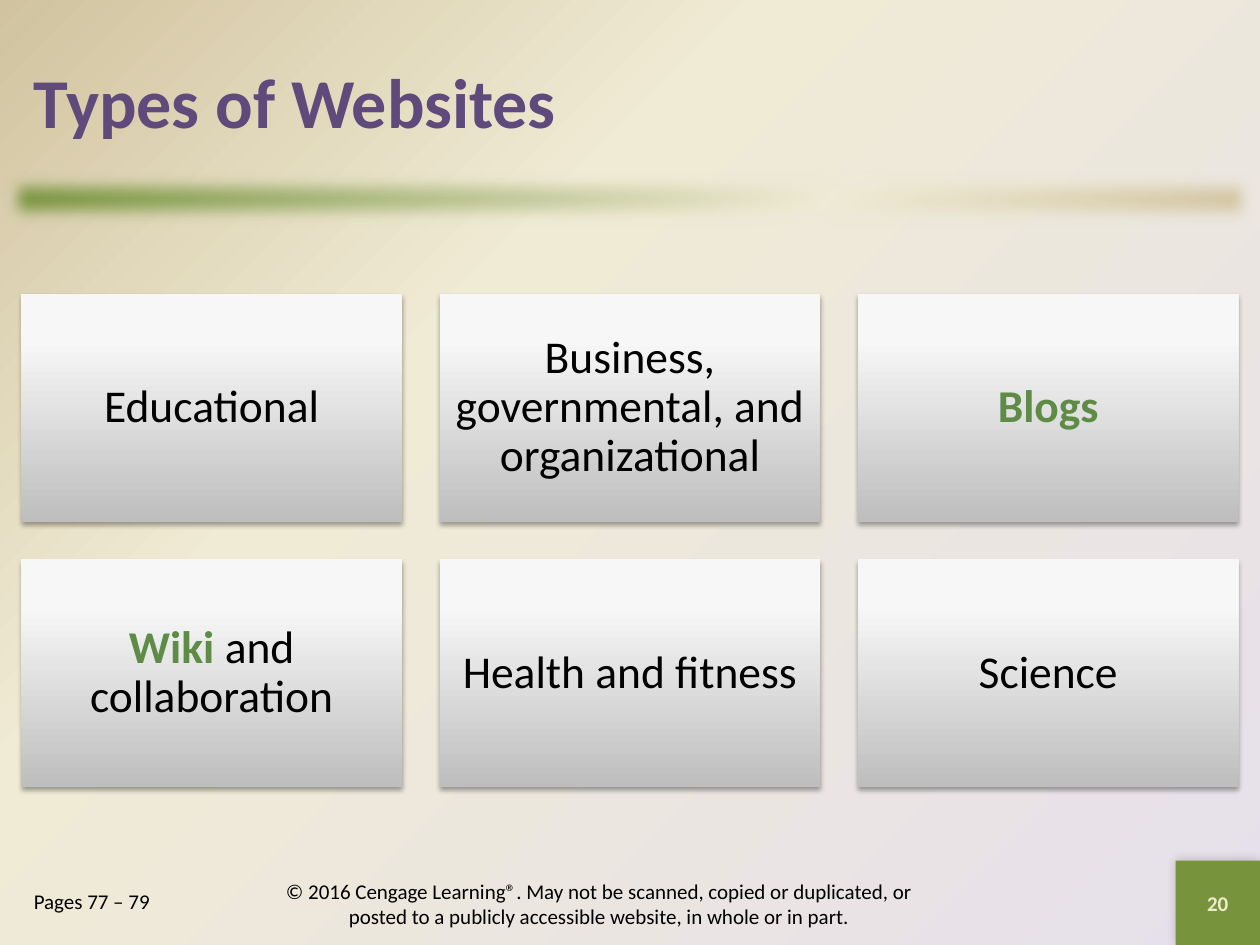
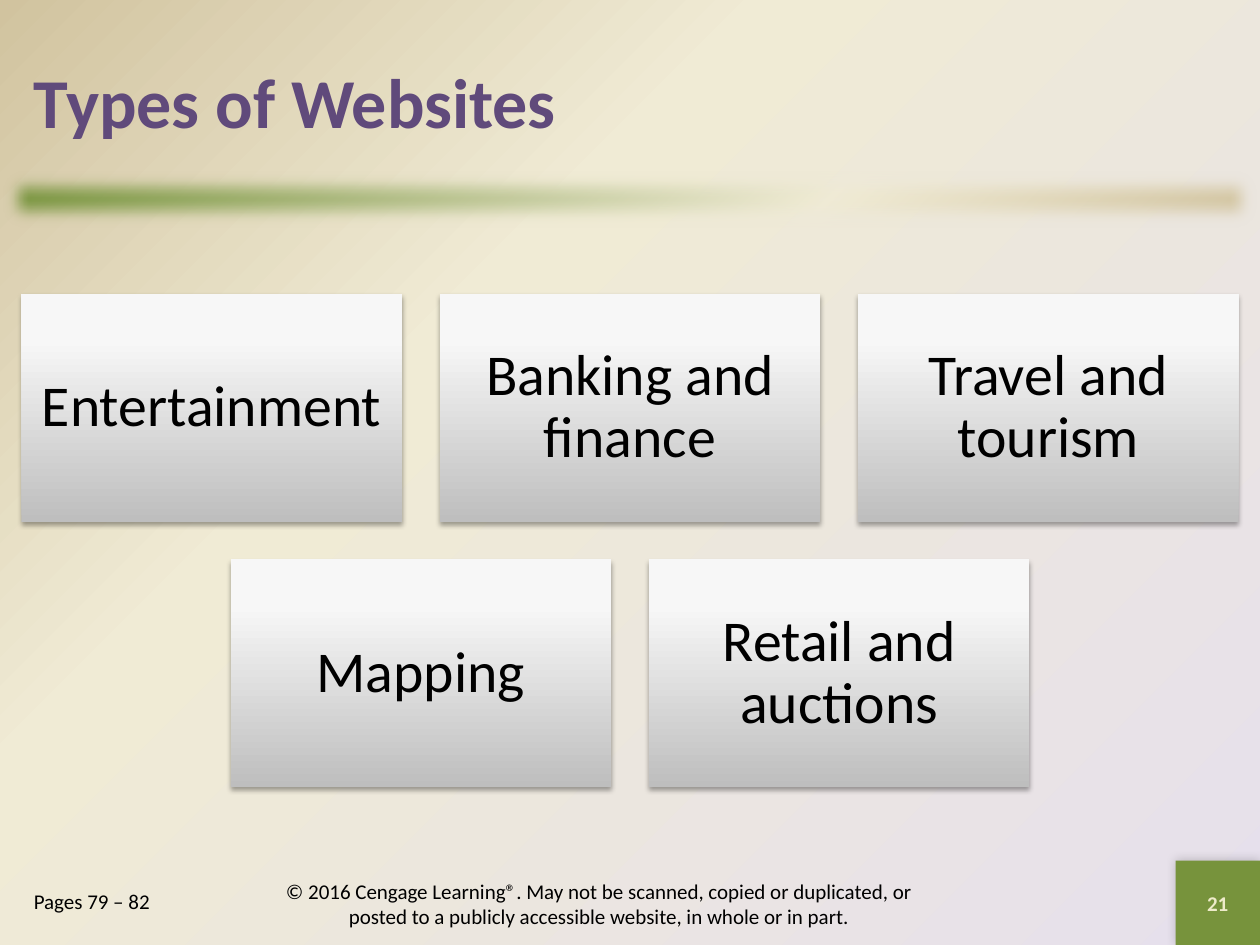
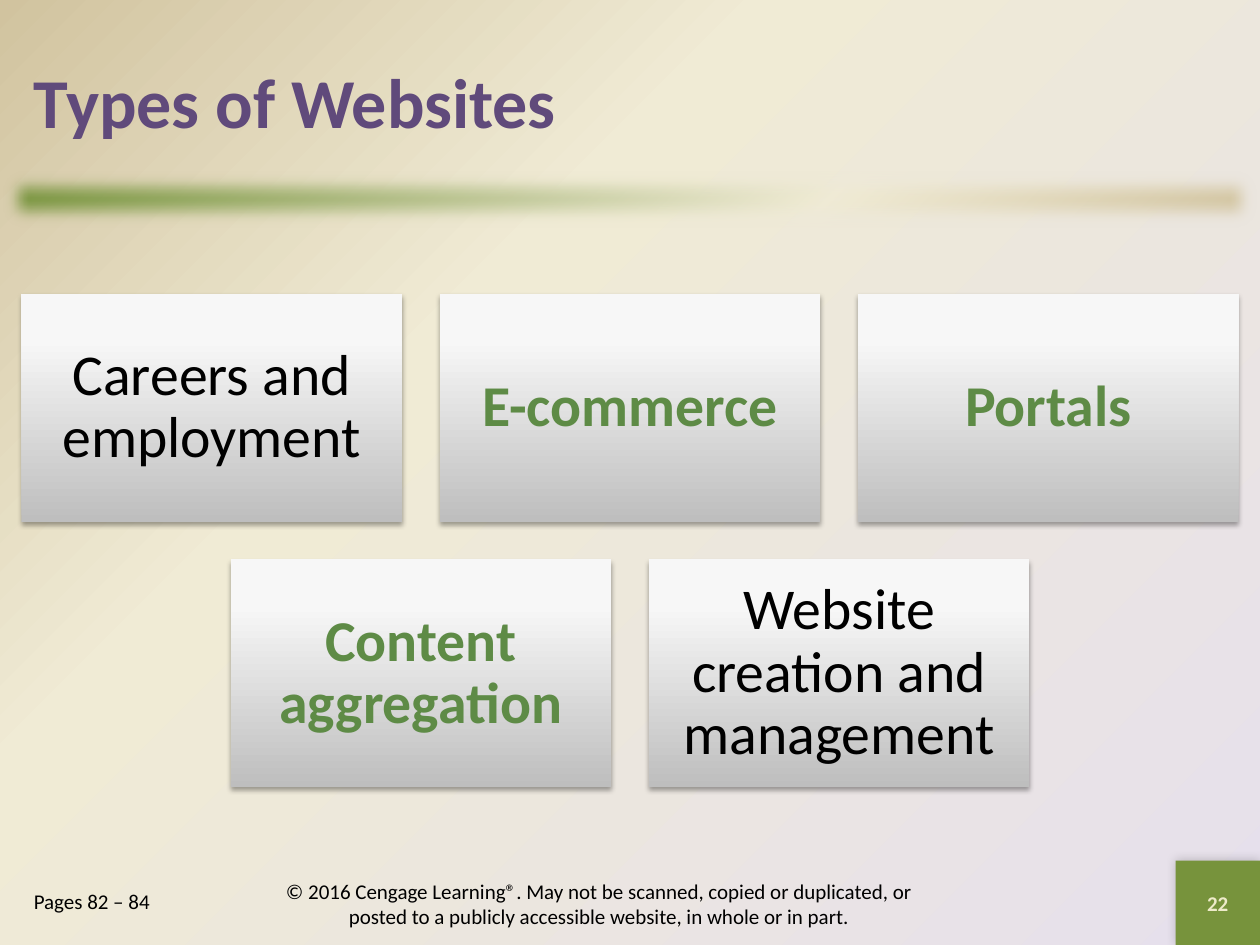
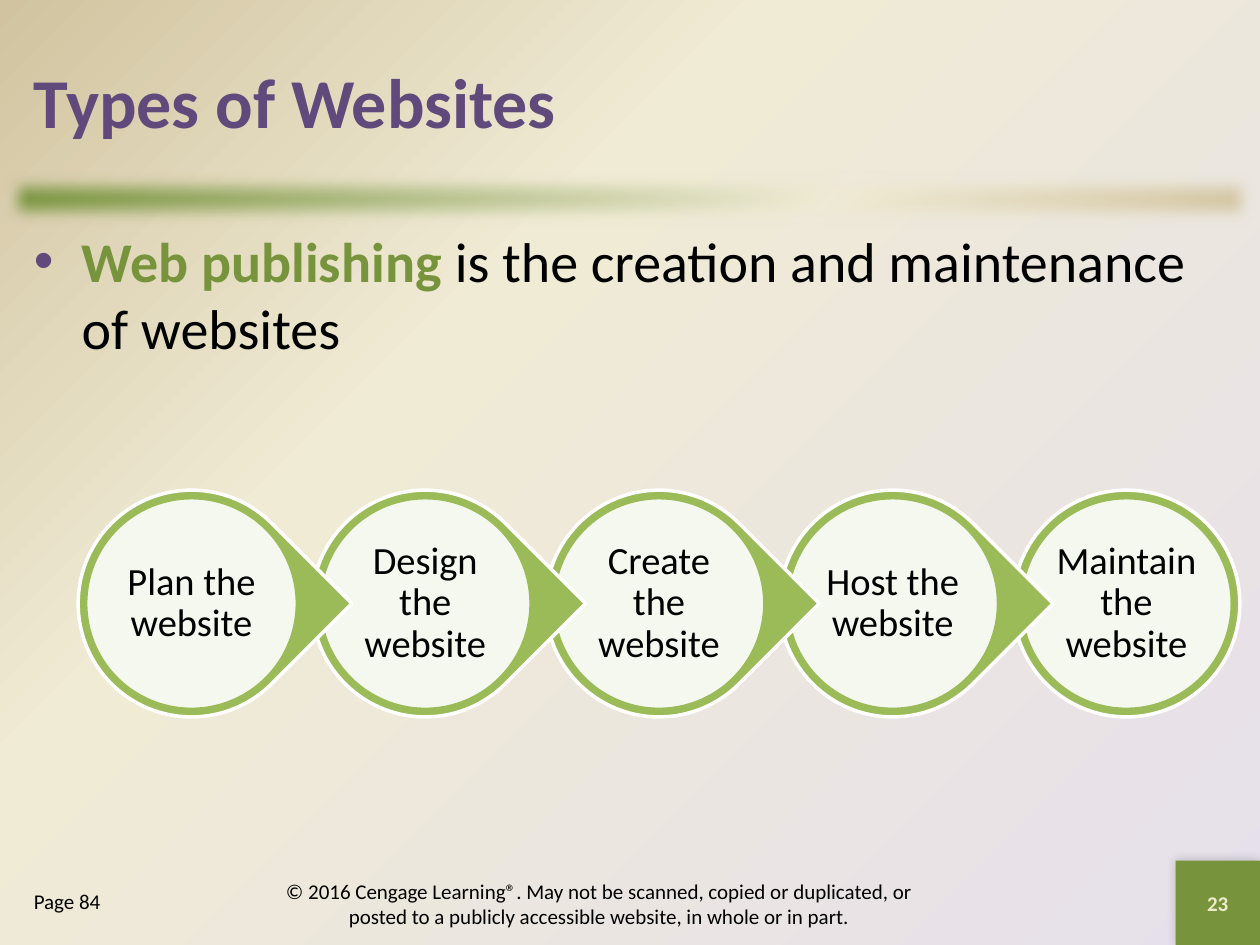
from dataclasses import dataclass

from pptx import Presentation
from pptx.dml.color import RGBColor
from pptx.enum.shapes import MSO_SHAPE
from pptx.enum.text import MSO_ANCHOR, PP_ALIGN
from pptx.oxml import parse_xml
from pptx.oxml.ns import nsdecls, qn
from pptx.util import Inches, Pt


@dataclass(frozen=True)
class Theme:
    font: str = "Calibri"
    ink: str = "000000"
    white: str = "FFFFFF"
    purple: str = "604A7B"
    olive: str = "77933C"
    term_green: str = "5E8B46"
    step_green: str = "9BBB59"
    page_cream: str = "EEEBCA"
    backdrop: tuple = ((0, "E6E0EC"), (65, "F0EBD5"), (100, "D1C39F"))
    band: tuple = ((0, "77933C"), (65, "F0EBD5"), (100, "D1C39F"))
    card: tuple = ((0, "BEBEBE"), (80, "F7F7F7"), (100, "F8F8F8"))
    title_size: int = 40
    body_size: int = 32
    step_size: int = 22
    footer_size: int = 12


@dataclass(frozen=True)
class Term:
    """A key term, set bold and coloured."""
    text: str


SLIDE_WIDTH, SLIDE_HEIGHT = 10, 7.5
MARGIN = 0.17
CARD_WIDTH, CARD_HEIGHT, CARD_GAP, CARDS_TOP = 3.02, 1.81, 0.3, 2.33
CORNER_GLOW = '<a:path path="circle"><a:fillToRect l="100000" t="100000"/></a:path>'
TITLE = "Types of Websites"
COPYRIGHT = ("© 2016 Cengage Learning®. May not be scanned, copied or duplicated, "
             "or posted to a publicly accessible website, in whole or in part.")


def linear(degrees):
    return f'<a:lin ang="{degrees * 60000}" scaled="0"/>'


def set_gradient(owner, fill, stops, direction):
    fill.gradient()
    gradient = owner.find(".//" + qn("a:gradFill"))
    stops_xml = "".join(
        f'<a:gs pos="{percent * 1000}"><a:srgbClr val="{color}"/></a:gs>'
        for percent, color in stops)
    gradient.getparent().replace(gradient, parse_xml(
        f'<a:gradFill {nsdecls("a")} rotWithShape="1">'
        f'<a:gsLst>{stops_xml}</a:gsLst>{direction}</a:gradFill>'))


def add_effect(shape, effect_xml):
    shape.element.find(".//" + qn("a:effectLst")).append(parse_xml(effect_xml))


def cast_shadow(shape, opacity, blur, distance, degrees):
    add_effect(shape, (
        f'<a:outerShdw {nsdecls("a")} blurRad="{Pt(blur)}" dist="{Pt(distance)}" '
        f'dir="{degrees * 60000}" rotWithShape="0"><a:srgbClr val="000000">'
        f'<a:alpha val="{opacity * 1000}"/></a:srgbClr></a:outerShdw>'))


class Deck:
    def __init__(self, theme):
        self.theme = theme
        self.prs = Presentation()
        self.prs.slide_width = Inches(SLIDE_WIDTH)
        self.prs.slide_height = Inches(SLIDE_HEIGHT)
        self.slide = None

    def start_slide(self, number, pages):
        """Add a slide with the backdrop, band, title and footer."""
        theme = self.theme
        self.slide = self.prs.slides.add_slide(self.prs.slide_layouts[6])
        set_gradient(self.slide.element, self.slide.background.fill,
                     theme.backdrop, CORNER_GLOW)

        band = self.shape(MSO_SHAPE.RECTANGLE, 0, 1.33, SLIDE_WIDTH, 0.5)
        set_gradient(band.element, band.fill, theme.band, linear(45))
        add_effect(band, f'<a:softEdge {nsdecls("a")} rad="{Pt(10)}"/>')

        corner = self.shape(MSO_SHAPE.RECTANGLE, 9.33, 6.83, 0.67, 0.67, theme.olive)
        cast_shadow(corner, 20, 6, 0, 225)
        self.set_text(corner, [Term(str(number))], theme.footer_size,
                      term_color=theme.page_cream)

        self.text(MARGIN, 0.17, 9.67, 1.25, [Term(TITLE)], theme.title_size,
                  term_color=theme.purple, align=PP_ALIGN.LEFT)
        self.text(MARGIN, 7, 1.83, 0.5, [pages], theme.footer_size,
                  align=PP_ALIGN.LEFT, anchor=MSO_ANCHOR.TOP)
        self.text(2.17, 6.97, 5.17, 0.4, [COPYRIGHT], theme.footer_size)

    def shape(self, kind, left, top, width, height, color=None, outline=None):
        shape = self.slide.shapes.add_shape(
            kind, Inches(left), Inches(top), Inches(width), Inches(height))
        shape.shadow.inherit = False
        if color:
            shape.fill.solid()
            shape.fill.fore_color.rgb = RGBColor.from_string(color)
        if outline:
            shape.line.color.rgb = RGBColor.from_string(outline)
            shape.line.width = Pt(2)
        else:
            shape.line.fill.background()
        return shape

    def text(self, left, top, width, height, parts, size, **style):
        box = self.slide.shapes.add_textbox(
            Inches(left), Inches(top), Inches(width), Inches(height))
        self.set_text(box, parts, size, **style)
        return box

    def set_text(self, shape, parts, size, term_color=None, align=PP_ALIGN.CENTER,
                 anchor=MSO_ANCHOR.MIDDLE, inset=None, line_spacing=None):
        """Fill a shape with one paragraph of plain strings and terms."""
        frame = shape.text_frame
        frame.word_wrap = True
        frame.vertical_anchor = anchor
        if inset is not None:
            frame.margin_left = frame.margin_right = Inches(inset)
            frame.margin_top = frame.margin_bottom = Inches(inset)
        paragraph = frame.paragraphs[0]
        paragraph.alignment = align
        if line_spacing:
            paragraph.line_spacing = line_spacing
        for part in parts:
            is_term = isinstance(part, Term)
            run = paragraph.add_run()
            run.text = part.text if is_term else part
            run.font.name = self.theme.font
            run.font.size = Pt(size)
            run.font.bold = is_term
            run.font.color.rgb = RGBColor.from_string(
                term_color if is_term else self.theme.ink)

    def bullet(self, parts):
        theme = self.theme
        body = self.text(MARGIN, 1.75, 9.67, 5.08, parts, theme.body_size,
                         term_color=theme.olive, align=PP_ALIGN.LEFT,
                         anchor=MSO_ANCHOR.TOP)
        properties = body.text_frame.paragraphs[0]._p.get_or_add_pPr()
        properties.set("marL", str(Inches(0.38)))
        properties.set("indent", str(Inches(-0.38)))
        for bullet_xml in (
                f'<a:buClr {nsdecls("a")}><a:srgbClr val="{theme.purple}"/></a:buClr>',
                f'<a:buFont {nsdecls("a")} typeface="Arial"/>',
                f'<a:buChar {nsdecls("a")} char="•"/>'):
            properties.append(parse_xml(bullet_xml))

    def card(self, left, top, parts, size, inset):
        card = self.shape(MSO_SHAPE.RECTANGLE, left, top, CARD_WIDTH, CARD_HEIGHT)
        set_gradient(card.element, card.fill, self.theme.card, linear(270))
        cast_shadow(card, 35, 3.1, 1.8, 90)
        self.set_text(card, parts, size, term_color=self.theme.term_green,
                      inset=inset, line_spacing=0.9)

    def card_rows(self, rows, size, inset):
        """Lay out rows of cards, each row centred on the slide."""
        for row_index, row in enumerate(rows):
            row_width = len(row) * (CARD_WIDTH + CARD_GAP) - CARD_GAP
            row_left = (SLIDE_WIDTH - row_width) / 2
            top = CARDS_TOP + row_index * (CARD_HEIGHT + CARD_GAP)
            for column, parts in enumerate(row):
                left = row_left + column * (CARD_WIDTH + CARD_GAP)
                self.card(left, top, parts, size, inset)

    def step_chain(self, steps):
        """Draw steps from last to first, so each point overlaps the next step."""
        theme = self.theme
        first_left, last_left, top = 0.62, 8.04, 3.89
        outer, inner = 1.8, 1.68
        rim = (outer - inner) / 2
        last = len(steps) - 1
        pitch = (last_left - first_left) / last
        for index in range(last, -1, -1):
            left = first_left + index * pitch
            kind = MSO_SHAPE.OVAL if index == last else MSO_SHAPE.TEAR
            pointer = self.shape(kind, left, top, outer, outer,
                                 theme.step_green, theme.white)
            if index < last:
                pointer.rotation = 45
            disc = self.shape(MSO_SHAPE.OVAL, left + rim, top + rim, inner, inner,
                              theme.white, theme.step_green)
            disc_color = disc.element.spPr.find(
                qn("a:solidFill") + "/" + qn("a:srgbClr"))
            disc_color.append(parse_xml(f'<a:alpha {nsdecls("a")} val="90000"/>'))
            self.set_text(disc, [steps[index]], theme.step_size,
                          inset=0.02, line_spacing=0.9)


CARD_SLIDES = [
    (20, "Pages 77 – 79", 26, 0.11, [
        [["Educational"], ["Business, governmental, and organizational"],
         [Term("Blogs")]],
        [[Term("Wiki "), "and collaboration"], ["Health and fitness"], ["Science"]],
    ]),
    (21, "Pages 79 – 82", 33, 0.14, [
        [["Entertainment"], ["Banking and finance"], ["Travel and tourism"]],
        [["Mapping"], ["Retail and auctions"]],
    ]),
    (22, "Pages 82 – 84", 33, 0.14, [
        [["Careers and employment"], [Term("E-commerce")], [Term("Portals")]],
        [[Term("Content aggregation")], ["Website creation and management"]],
    ]),
]
PUBLISHING_STEPS = [f"{verb} the website" for verb in
                    ("Plan", "Design", "Create", "Host", "Maintain")]


def main():
    deck = Deck(Theme())
    for number, pages, size, inset, rows in CARD_SLIDES:
        deck.start_slide(number, pages)
        deck.card_rows(rows, size, inset)

    deck.start_slide(23, "Page 84")
    deck.bullet([Term("Web publishing "),
                 "is the creation and maintenance of websites"])
    deck.step_chain(PUBLISHING_STEPS)
    deck.prs.save("out.pptx")


if __name__ == "__main__":
    main()
